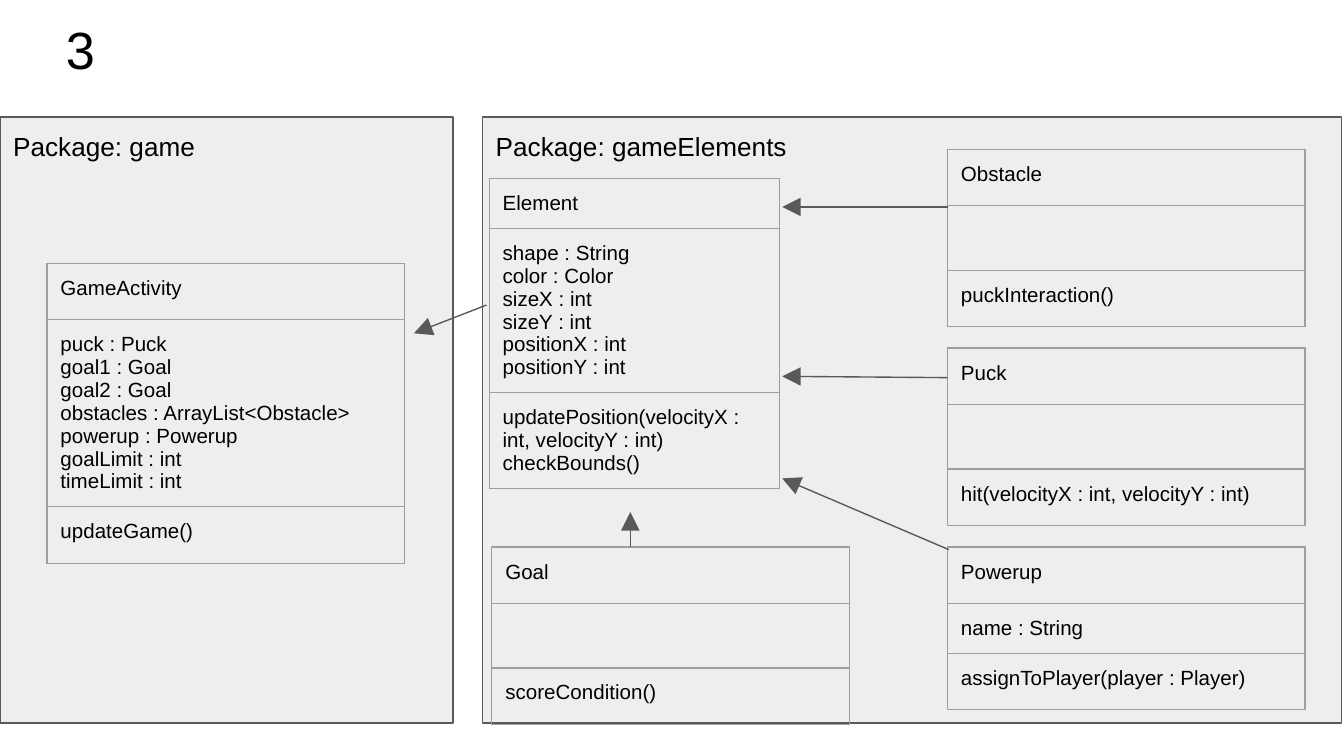
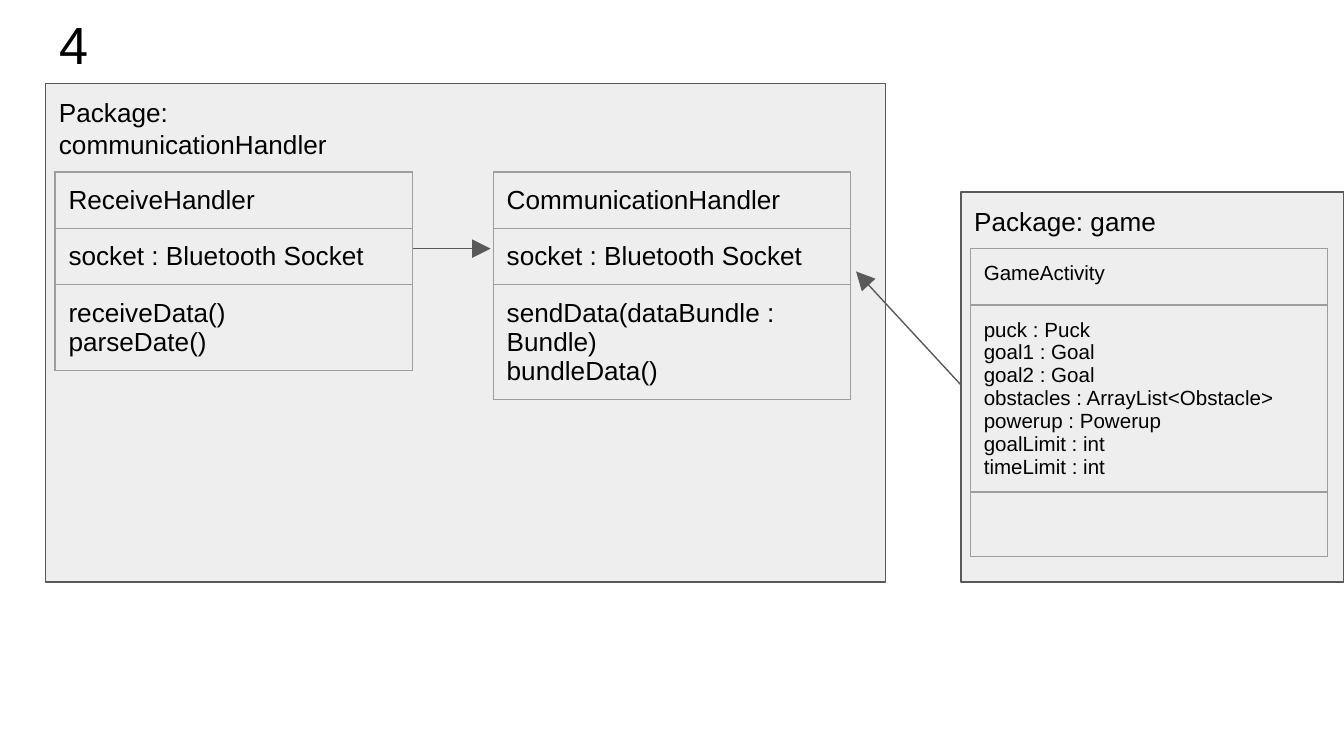
import pptx
import pptx.dml.color
import pptx.enum.shapes
import pptx.enum.text
import pptx.oxml
import pptx.oxml.ns
import pptx.text.text
import pptx.util

Inches = pptx.util.Inches
Pt = pptx.util.Pt

FONT = "Arial"
INK = "000000"
PANEL = "EEEEEE"
OUTLINE = "595959"
GRID = "9E9E9E"
LINE_WIDTH = 0.75
MARGIN = 0.1
TITLE_SIZE, LABEL_SIZE, CLASS_SIZE, EMPTY_SIZE = 28, 14, 11, 18
CLASS_WIDTH = 2.66
ROW_HEIGHT = 0.42
TITLE_ONLY = 5

GAME_FIELDS = [
    "puck : Puck", "goal1 : Goal", "goal2 : Goal",
    "obstacles : ArrayList<Obstacle>", "powerup : Powerup",
    "goalLimit : int", "timeLimit : int",
]


def color(value):
    return pptx.dml.color.RGBColor.from_string(value)


def write(frame, lines, size):
    """Fill a text frame with one paragraph for each line."""
    for index, line in enumerate(lines):
        para = frame.add_paragraph() if index else frame.paragraphs[0]
        para.alignment = pptx.enum.text.PP_ALIGN.LEFT
        span = para.add_run()
        span.text = line
        span.font.name = FONT
        span.font.size = Pt(size)
        span.font.color.rgb = color(INK)


def size_empty(frame):
    """Set the font that gives an empty cell its height."""
    ending = frame.paragraphs[0]._p.get_or_add_endParaRPr()
    font = pptx.text.text.Font(ending)
    font.name = FONT
    font.size = Pt(EMPTY_SIZE)


def set_margins(target):
    """Give a text frame or a table cell the common margin."""
    for side in ("left", "right", "top", "bottom"):
        setattr(target, f"margin_{side}", Inches(MARGIN))


def fill_label(box, text, size):
    frame = box.text_frame
    frame.word_wrap = True
    frame.auto_size = pptx.enum.text.MSO_AUTO_SIZE.NONE
    frame.vertical_anchor = pptx.enum.text.MSO_ANCHOR.TOP
    set_margins(frame)
    write(frame, [text], size)


def add_page(deck, title, left, top):
    page = deck.slides.add_slide(deck.slide_layouts[TITLE_ONLY])
    box = page.shapes.title
    box.left, box.top = Inches(left), Inches(top)
    box.width, box.height = Inches(9.32), Inches(0.63)
    fill_label(box, title, TITLE_SIZE)
    return page


def add_panel(page, left, top, width, height):
    """Draw the grey area of a package."""
    panel = page.shapes.add_shape(
        pptx.enum.shapes.MSO_SHAPE.RECTANGLE,
        Inches(left), Inches(top), Inches(width), Inches(height))
    panel.shadow.inherit = False
    panel.fill.solid()
    panel.fill.fore_color.rgb = color(PANEL)
    panel.line.color.rgb = color(OUTLINE)
    panel.line.width = Pt(LINE_WIDTH)


def add_package_label(page, name, left, top, width):
    box = page.shapes.add_textbox(
        Inches(left), Inches(top), Inches(width), Inches(0.42))
    fill_label(box, f"Package: {name}", LABEL_SIZE)


def add_borders(cell):
    properties = cell._tc.get_or_add_tcPr()
    for side in ("lnL", "lnR", "lnT", "lnB"):
        properties.append(pptx.oxml.parse_xml(
            f'<a:{side} {pptx.oxml.ns.nsdecls("a")} w="{Pt(LINE_WIDTH)}">'
            f'<a:solidFill><a:srgbClr val="{GRID}"/></a:solidFill>'
            f'</a:{side}>'))


def add_class(page, name, fields, methods, left, top, size=CLASS_SIZE,
              width=CLASS_WIDTH, heights=(ROW_HEIGHT,) * 3):
    """Draw a class as a table of its name, fields and methods."""
    table = page.shapes.add_table(
        3, 1, Inches(left), Inches(top),
        Inches(width), Inches(sum(heights))).table
    table.first_row = False
    table.horz_banding = False
    for row, height, lines in zip(table.rows, heights,
                                  ([name], fields, methods)):
        row.height = Inches(height)
        cell = row.cells[0]
        set_margins(cell)
        add_borders(cell)
        cell.fill.background()
        if lines:
            write(cell.text_frame, lines, size)
        else:
            size_empty(cell.text_frame)


def add_arrow(page, start, end):
    arrow = page.shapes.add_connector(
        pptx.enum.shapes.MSO_CONNECTOR.STRAIGHT,
        *(Inches(value) for value in (*start, *end)))
    arrow.line.color.rgb = color(OUTLINE)
    arrow.line.width = Pt(LINE_WIDTH)
    namespace = pptx.oxml.ns.nsdecls("a")
    arrow.line._get_or_add_ln().append(pptx.oxml.parse_xml(
        f'<a:tailEnd {namespace} type="triangle" w="lg" len="lg"/>'))
    arrow._element.spPr.append(
        pptx.oxml.parse_xml(f"<a:effectLst {namespace}/>"))


def build_game_elements(deck):
    page = add_page(deck, "3", 0.39, 0.03)
    top, height = 0.87, 4.51
    elements_left, column_left = 3.59, 7.05
    first_top, pitch = 1.11, 1.48
    add_panel(page, elements_left, top, 6.39, height)
    add_class(page, "Goal", [], ["scoreCondition()"], 3.66, 4.07,
              heights=(ROW_HEIGHT, 0.21, ROW_HEIGHT))
    add_package_label(page, "gameElements", elements_left, top, 2.73)
    add_class(page, "Element",
              ["shape : String", "color : Color", "sizeX : int",
               "sizeY : int", "positionX : int", "positionY : int"],
              ["updatePosition(velocityX : int, velocityY : int)",
               "checkBounds()"],
              3.64, 1.33, width=2.16, heights=(0.29, 0.36, 0.29))

    subclasses = [
        ("Obstacle", [], ["puckInteraction()"], ROW_HEIGHT),
        ("Puck", [], ["hit(velocityX : int, velocityY : int)"], ROW_HEIGHT),
        ("Powerup", ["name : String"],
         ["assignToPlayer(player : Player)"], 0.32),
    ]
    for index, (name, fields, methods, middle) in enumerate(subclasses):
        add_class(page, name, fields, methods, column_left,
                  first_top + index * pitch,
                  heights=(ROW_HEIGHT, middle, ROW_HEIGHT))

    add_arrow(page, (column_left, 1.54), (5.82, 1.54))
    add_arrow(page, (4.69, 4.07), (4.69, 3.81))
    add_arrow(page, (7.06, 4.09), (5.82, 3.56))
    add_arrow(page, (column_left, 2.81), (5.82, 2.8))

    add_panel(page, 0, top, 3.37, height)
    add_class(page, "GameActivity", GAME_FIELDS, ["updateGame()"], 0.35, 1.96)
    add_arrow(page, (3.62, 2.27), (3.08, 2.48))
    add_package_label(page, "game", 0, top, 2.34)


def build_communication(deck):
    page = add_page(deck, "4", 0.34, -0.01)
    add_panel(page, 0.34, 0.62, 6.25, 3.71)
    add_package_label(page, "communicationHandler", 0.34, 0.62, 3.04)
    socket = ["socket : Bluetooth Socket"]
    add_class(page, "CommunicationHandler", socket,
              ["sendData(dataBundle : Bundle)", "bundleData()"],
              3.67, 1.28, LABEL_SIZE)
    add_class(page, "ReceiveHandler", socket,
              ["receiveData()", "parseDate()"], 0.41, 1.28, LABEL_SIZE)
    add_arrow(page, (3.07, 1.85), (3.65, 1.85))
    add_arrow(page, (7.22, 2.94), (6.37, 2.02))

    add_panel(page, 7.15, 1.43, 2.85, 2.9)
    add_class(page, "GameActivity", GAME_FIELDS, [], 7.22, 1.85)
    add_package_label(page, "game", 7.15, 1.43, 2.34)


def main():
    deck = pptx.Presentation()
    deck.slide_width, deck.slide_height = Inches(10), Pt(405)
    build_game_elements(deck)
    build_communication(deck)
    deck.save("out.pptx")


if __name__ == "__main__":
    main()
